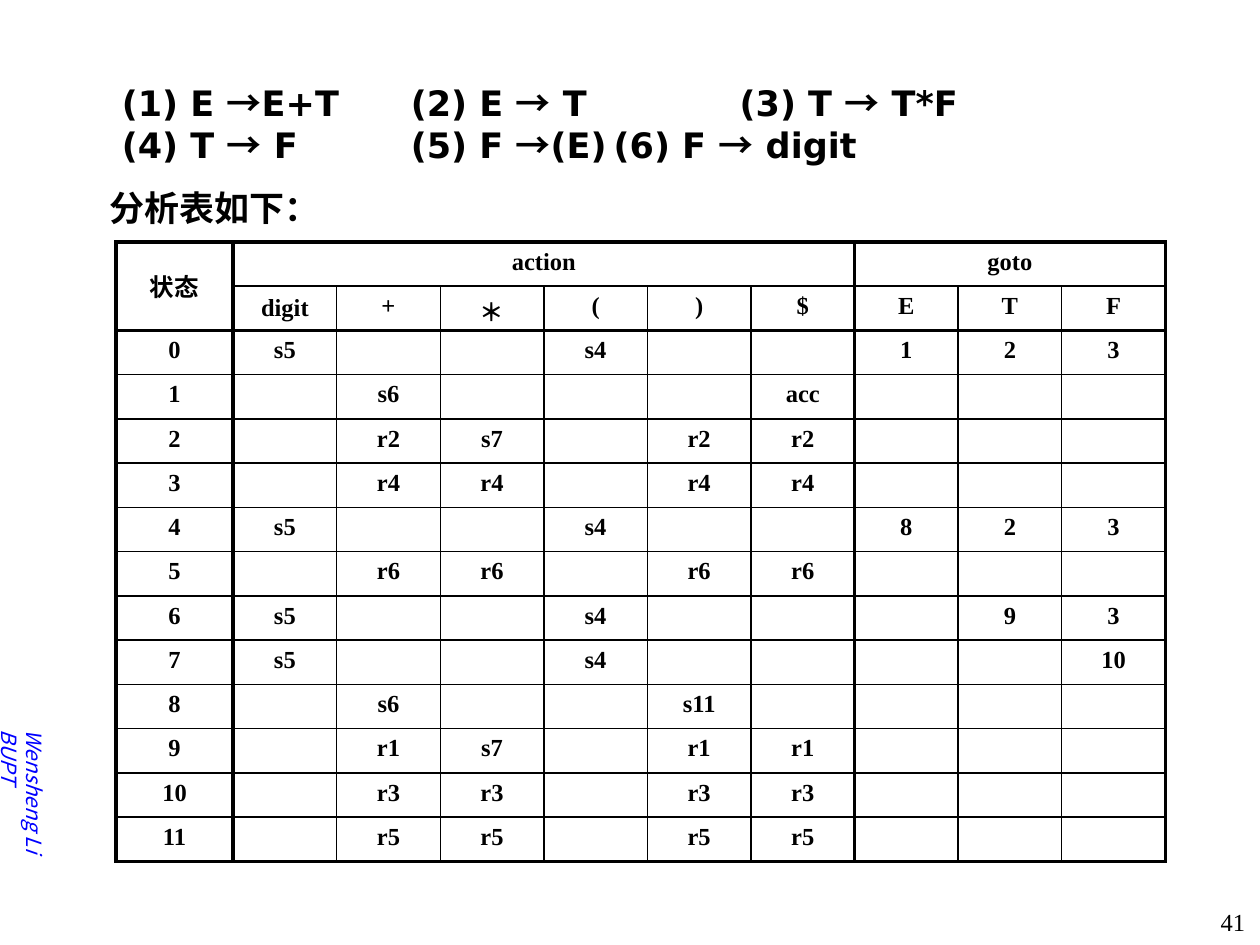
from itertools import groupby, product
from lxml.etree import SubElement as Sub
from pptx import Presentation
from pptx.dml.color import RGBColor as RGB
from pptx.enum.text import MSO_ANCHOR as Anchor, MSO_AUTO_SIZE as Fit, PP_ALIGN as Align
from pptx.oxml.ns import qn
from pptx.util import Emu, Inches, Pt

WIDE, HIGH = Inches(10), Inches(7.5)


class Theme:
    black, blue = RGB(0, 0, 0), RGB(0, 0, 255)
    sans, serif, han = "DejaVu Sans", "Times New Roman", "Noto Sans CJK SC"
    rule = dict(size=Pt(20), bold=True, name=sans)
    cell = dict(size=Pt(14), bold=True, name=serif)
    page = dict(size=Pt(14), bold=False, name=serif)
    side = dict(size=Pt(12), italic=True, name=han)
    thin, thick = Pt(1), Pt(2.25)


RULES = [
    (" (1) E →E+T\t(2) E → T\t(3) T → T*F", (2.39, 5)),
    (" (4) T → F\t(5) F →(E)\t(6) F → digit", (2.39, 4)),
    ("分析表如下：", ()),
]
HEADS = "digit + ＊ ( ) $ E T F".split()
# One row per state; a dot is an empty entry
STATES = """
s5 . . s4 . . 1 2 3
. s6 . . . acc . . .
. r2 s7 . r2 r2 . . .
. r4 r4 . r4 r4 . . .
s5 . . s4 . . 8 2 3
. r6 r6 . r6 r6 . . .
s5 . . s4 . . . 9 3
s5 . . s4 . . . . 10
. s6 . . s11 . . . .
. r1 s7 . r1 r1 . . .
. r3 r3 . r3 r3 . . .
. r5 r5 . r5 r5 . . .
""".strip().splitlines()


def share(x, y, w, h):
    """Turn percentages of the slide into lengths."""
    return [Emu(int(side * part / 100))
            for side, part in zip((WIDE, HIGH) * 2, (x, y, w, h))]


def write(para, text, style, color=Theme.black):
    """Add runs, giving arrows and Chinese signs the Chinese font."""
    for wide, part in groupby(text, lambda sign: ord(sign) > 0x2000):
        run = para.add_run()
        run.text = "".join(part)
        form = {**style, "name": Theme.han} if wide else style
        for key, value in form.items():
            setattr(run.font, key, value)
        run.font.color.rgb = color
        Sub(run.font._element, qn("a:ea"), typeface=form["name"])


def set_tabs(para, stops):
    tabs = Sub(para._p.get_or_add_pPr(), qn("a:tabLst"))
    for stop in stops:
        Sub(tabs, qn("a:tab"), pos=str(Inches(stop)), algn="l")


def add_rules(slide, box):
    title = slide.shapes.title
    title.left, title.top, title.width, title.height = box
    frame = title.text_frame
    frame.auto_size, frame.vertical_anchor = Fit.NONE, Anchor.TOP
    for i, (text, stops) in enumerate(RULES):
        para = frame.add_paragraph() if i else frame.paragraphs[0]
        para.alignment = Align.LEFT
        if stops:
            set_tabs(para, stops)
        else:
            para.space_before = Pt(12)
        write(para, text, Theme.rule)


def add_note(slide, box, text, style, color, align):
    note = slide.shapes.add_textbox(*box)
    note.text_frame.word_wrap = True
    para = note.text_frame.paragraphs[0]
    para.alignment = align
    write(para, text, style, color)
    return note


def add_side(slide, box):
    note = add_note(slide, box, "Wensheng Li\tBUPT", Theme.side, Theme.blue, Align.LEFT)
    note.rotation = 90
    note.text_frame.margin_left = Inches(0.96)
    note.text_frame.vertical_anchor = Anchor.MIDDLE
    set_tabs(note.text_frame.paragraphs[0], [1.17])


def draw_edges(cell, row, col):
    """Rule off the header, the state column and the two halves."""
    low, right = row + cell.span_height, col + cell.span_width
    heavy = [col in (0, 1, 7), right in (1, 7, 10), row in (0, 2), low in (2, 14)]
    props = cell._tc.get_or_add_tcPr()
    for i, (side, bold) in enumerate(zip("LRTB", heavy)):
        width = Theme.thick if bold else Theme.thin
        line = Sub(props, qn("a:ln" + side), w=str(int(width)))
        fill = Sub(line, qn("a:solidFill"))
        Sub(fill, qn("a:srgbClr"), val=str(Theme.black))
        props.insert(i, line)


def add_grid(slide, box):
    rows = [["状态", "action", *[""] * 5, "goto", "", ""], ["", *HEADS]]
    rows += [[str(i), *line.replace(".", "").split(" ")] for i, line in enumerate(STATES)]
    table = slide.shapes.add_table(len(rows), len(rows[0]), *box).table
    table.first_row = table.horz_banding = False
    # Sizes: a wider state column, then equal ones
    first = Inches(0.93)
    for i, col in enumerate(table.columns):
        col.width = Emu((box[2] - first) // 9) if i else first
    for row in table.rows:
        row.height = Emu(box[3] // len(rows))
    # Header spans
    for start, end in (((0, 0), (1, 0)), ((0, 1), (0, 6)), ((0, 7), (0, 9))):
        table.cell(*start).merge(table.cell(*end))
    # Entries
    for r, c in product(range(len(rows)), range(len(rows[0]))):
        cell = table.cell(r, c)
        para = cell.text_frame.paragraphs[0]
        para.alignment = Align.CENTER
        if rows[r][c]:
            write(para, rows[r][c], Theme.cell)
        else:
            Sub(para._p, qn("a:endParaRPr"), sz="1400")
        if (r, c) in ((0, 0), (1, 1)):
            cell.vertical_anchor = Anchor.MIDDLE
        cell.fill.background()
        if not cell.is_spanned:
            draw_edges(cell, r, c)


def main():
    deck = Presentation()
    deck.slide_width, deck.slide_height = WIDE, HIGH
    slide = deck.slides.add_slide(deck.slide_layouts[5])
    add_side(slide, share(-11.4, 80, 26.4, 4))
    add_note(slide, share(90.4, 95.33, 9.4, 4), "41", Theme.page, Theme.black, Align.RIGHT)
    add_rules(slide, share(7.7, 8, 86.7, 17.07))
    add_grid(slide, share(9.2, 25.6, 83.3, 65.6))
    deck.save("out.pptx")


if __name__ == "__main__":
    main()
